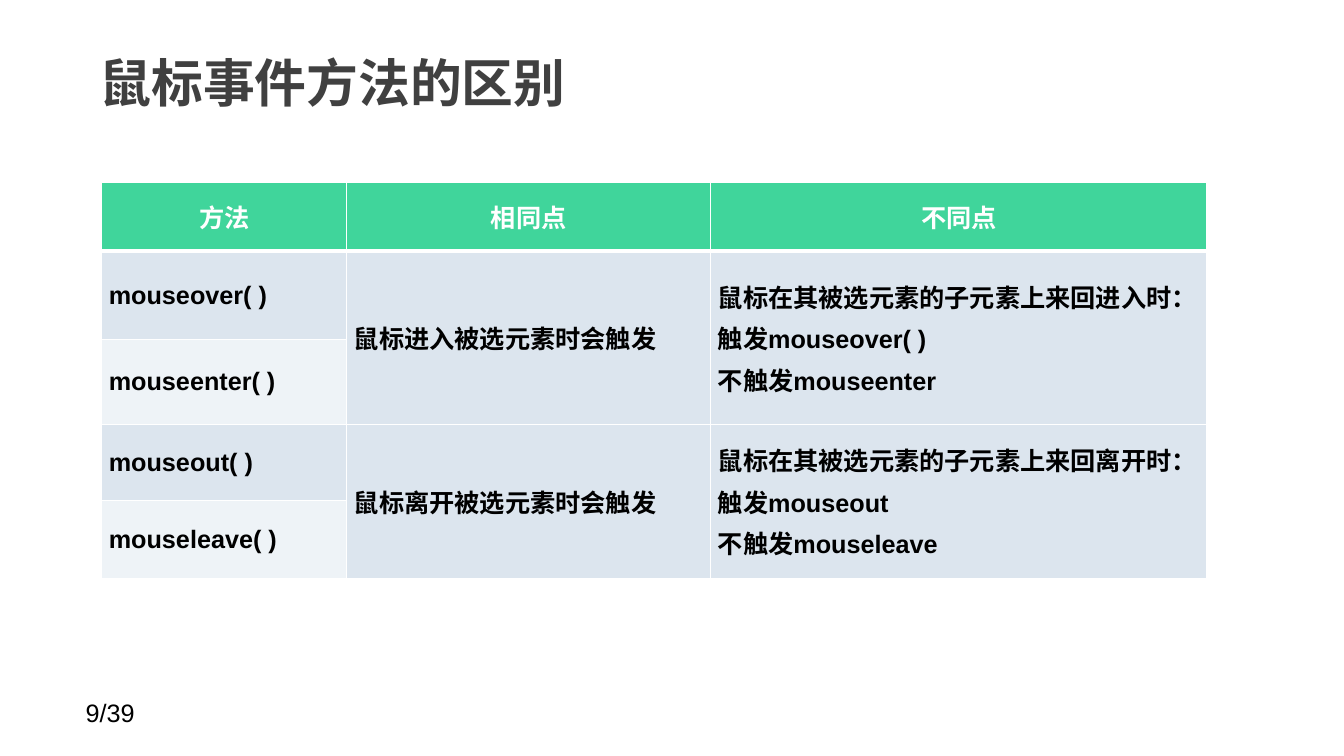
from lxml import etree
from pptx import Presentation
from pptx.dml.color import RGBColor
from pptx.enum.text import MSO_ANCHOR, PP_ALIGN
from pptx.oxml.ns import qn
from pptx.util import Inches, Pt

LEFT, CENTER = PP_ALIGN.LEFT, PP_ALIGN.CENTER
MIDDLE = MSO_ANCHOR.MIDDLE
LATIN, HAN = "Arial", "Noto Sans CJK SC"
WHITE, BLACK, GREY = "FFFFFF", "000000", "404040"
GREEN, BLUE, PALE = "40D59B", "DCE5EE", "EEF3F7"

COLS = [2.43, 3.61, 4.92]
ROWS = [0.68, 0.88, 0.84, 0.76, 0.77]
HEADS = ["方法", "相同点", "不同点"]
PAIRS = [
    (["mouseover( )", "mouseenter( )"],
     "鼠标进入被选元素时会触发",
     "鼠标在其被选元素的子元素上来回进入时：\n触发mouseover( )\n不触发mouseenter"),
    (["mouseout( )", "mouseleave( )"],
     "鼠标离开被选元素时会触发",
     "鼠标在其被选元素的子元素上来回离开时：\n触发mouseout\n不触发mouseleave"),
]


def color(code):
    """Turn a hex string into a colour."""
    return RGBColor.from_string(code)


def write(frame, text, size=18, tint=BLACK, bold=False, font=LATIN,
          align=LEFT, before=0):
    """Fill a text frame, one paragraph for each line of text."""
    frame.word_wrap = True
    for i, line in enumerate(text.split("\n")):
        para = frame.add_paragraph() if i else frame.paragraphs[0]
        para.alignment = align
        para.space_before = Pt(before)
        run = para.add_run()
        run.text = line
        run.font.size = Pt(size)
        run.font.bold = bold
        run.font.name = font
        run.font.color.rgb = color(tint)
        east = etree.SubElement(run.font._element, qn("a:ea"))
        east.set("typeface", HAN)


def border(cell, top=1, bottom=1):
    """Draw white lines round a cell, with widths in points."""
    props = cell._tc.get_or_add_tcPr()
    widths = {"a:lnL": 1, "a:lnR": 1, "a:lnT": top, "a:lnB": bottom}
    for i, (tag, width) in enumerate(widths.items()):
        line = etree.Element(qn(tag), w=str(Pt(width)))
        fill = etree.SubElement(line, qn("a:solidFill"))
        etree.SubElement(fill, qn("a:srgbClr"), val=WHITE)
        props.insert(i, line)


def style(cell, row, col):
    """Set the fill, margins and lines of a cell by its place."""
    cell.fill.solid()
    shade = PALE if col == 0 and row % 2 == 0 else BLUE
    cell.fill.fore_color.rgb = color(shade if row else GREEN)
    cell.vertical_anchor = MIDDLE
    cell.margin_left = cell.margin_right = Inches(0.07)
    cell.margin_top = cell.margin_bottom = 0
    border(cell, top=3 if row == 1 else 1, bottom=1 if row else 3)


def add_title(slide, text):
    """Place and fill the title placeholder."""
    title = slide.shapes.title
    title.left, title.top = Inches(0.86), Inches(0.3)
    title.width, title.height = Inches(10.41), Inches(1.03)
    frame = title.text_frame
    frame.vertical_anchor = MIDDLE
    frame.margin_left = frame.margin_right = Inches(0.13)
    frame.margin_top = frame.margin_bottom = Inches(0.06)
    write(frame, text, size=37, tint=GREY, bold=True, font=HAN)


def add_grid(slide):
    """Add the table that compares the mouse event methods."""
    grid = slide.shapes.add_table(
        len(ROWS), len(COLS), Inches(1.01), Inches(1.81),
        Inches(sum(COLS)), Inches(sum(ROWS))).table
    for col, width in zip(grid.columns, COLS):
        col.width = Inches(width)
    for row, height in zip(grid.rows, ROWS):
        row.height = Inches(height)
    for row in range(len(ROWS)):
        for col in range(len(COLS)):
            style(grid.cell(row, col), row, col)
    for col, head in enumerate(HEADS):
        write(grid.cell(0, col).text_frame, head, tint=WHITE, bold=True,
              align=CENTER, before=3.6)
    for i, (names, *notes) in enumerate(PAIRS):
        top = 1 + 2 * i
        for row, name in enumerate(names, top):
            write(grid.cell(row, 0).text_frame, name, bold=True, before=3.6)
        for col, note in enumerate(notes, 1):
            cell = grid.cell(top, col)
            cell.merge(grid.cell(top + 1, col))
            write(cell.text_frame, note, bold=True, before=3.6)


def add_page(slide, text):
    """Add the page number at the lower left."""
    box = slide.shapes.add_textbox(
        Inches(0.75), Inches(6.87), Inches(2.33), Inches(0.4))
    write(box.text_frame, text)


def main():
    """Build and save the slide."""
    deck = Presentation()
    deck.slide_width, deck.slide_height = Inches(13.33), Inches(7.5)
    slide = deck.slides.add_slide(deck.slide_layouts[5])
    add_title(slide, "鼠标事件方法的区别")
    add_grid(slide)
    add_page(slide, "9/39")
    deck.save("out.pptx")


if __name__ == "__main__":
    main()
